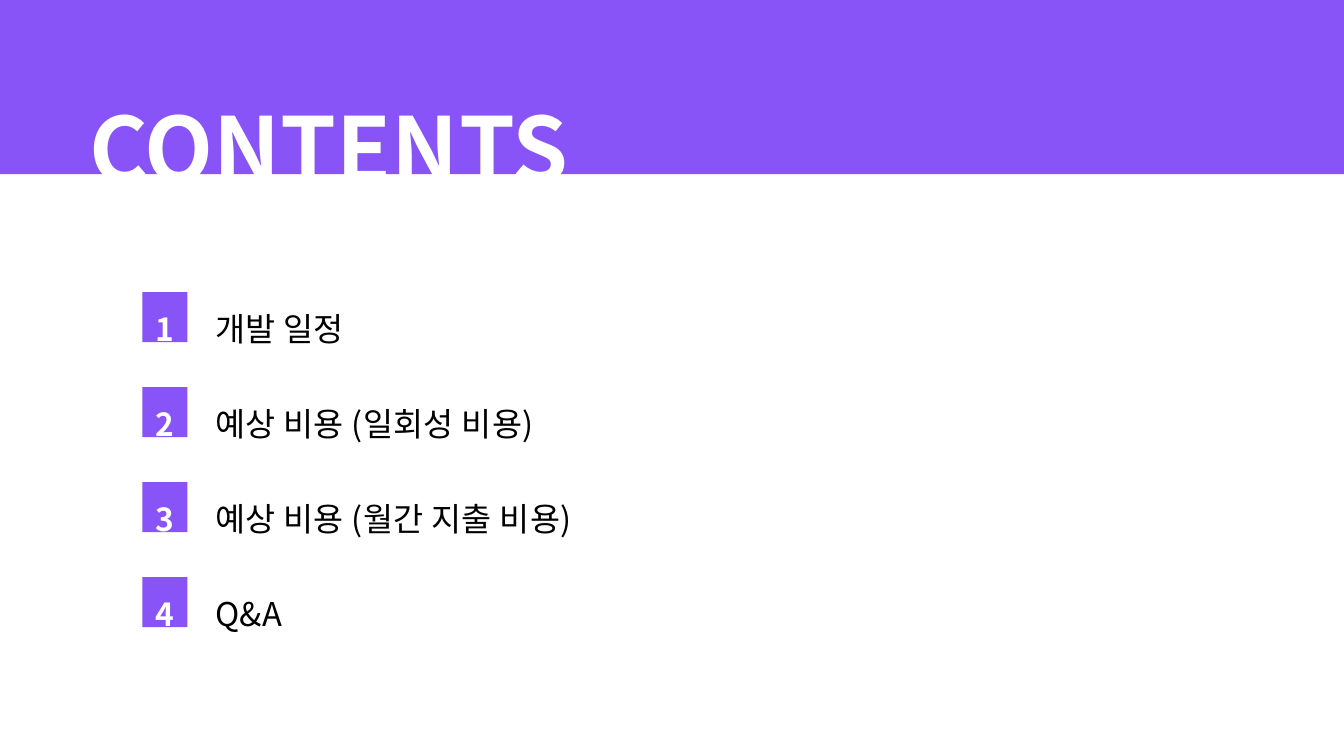
from lxml import etree
from pptx import Presentation
from pptx import util as u
from pptx.dml.color import RGBColor
from pptx.enum import shapes, text
from pptx.oxml.ns import qn

Pt = u.Pt
FONT = "Noto Sans CJK KR"
PURPLE, WHITE, BLACK = "8854F7", "FFFFFF", "000000"


def add_box(parent, x, y, w, h):
    sp = parent.add_shape(shapes.MSO_SHAPE.RECTANGLE, Pt(x), Pt(y), Pt(w), Pt(h))
    sp.shadow.inherit = False
    sp.fill.solid()
    sp.fill.fore_color.rgb = RGBColor.from_string(PURPLE)
    sp.line.fill.background()


def add_text(parent, x, y, w, h, words, size, color, leading,
             bold=False, align=text.PP_ALIGN.LEFT, tracking=0):
    """Add one line of text; leading is in points, tracking in 1/100 point."""
    tf = parent.add_textbox(Pt(x), Pt(y), Pt(w), Pt(h)).text_frame
    tf.word_wrap = True
    tf.margin_left = tf.margin_top = tf.margin_right = tf.margin_bottom = 0
    p = tf.paragraphs[0]
    p.alignment = align
    p.line_spacing = Pt(leading)
    r = p.add_run()
    r.text = words
    r.font.name, r.font.size, r.font.bold = FONT, Pt(size), bold
    r.font.color.rgb = RGBColor.from_string(color)
    rPr = r.font._element
    rPr.set("spc", str(tracking))
    # Hangul takes its typeface from the East Asian slot
    etree.SubElement(rPr, qn("a:ea")).set("typeface", FONT)


prs = Presentation()
prs.slide_width, prs.slide_height = Pt(1440), Pt(810)
s = prs.slides.add_slide(prs.slide_layouts[6])

# Title band
add_box(s.shapes, 0, 0, 1440, 186.5)
add_text(s.shapes, 95.8, 80.6, 560, 130.3, "CONTENTS", 96, WHITE, 134.4, bold=True)

# Numbered entries
entries = ["개발 일정", "예상 비용 (일회성 비용)", "예상 비용 (월간 지출 비용)", "Q&A"]
for i, entry in enumerate(entries):
    y = 313 + i * 101.8
    item = s.shapes.add_group_shape().shapes
    add_box(item, 152.6, y, 48.3, 53.5)
    add_text(item, 155.5, y - 17.8, 43.2, 68.4, str(i + 1), 34, WHITE, 77.5,
             bold=True, align=text.PP_ALIGN.CENTER, tracking=100)
    add_text(item, 230.4, y - 19.6, 425.5, 71.3, entry, 35, BLACK, 79.8, tracking=30)

prs.save("out.pptx")
